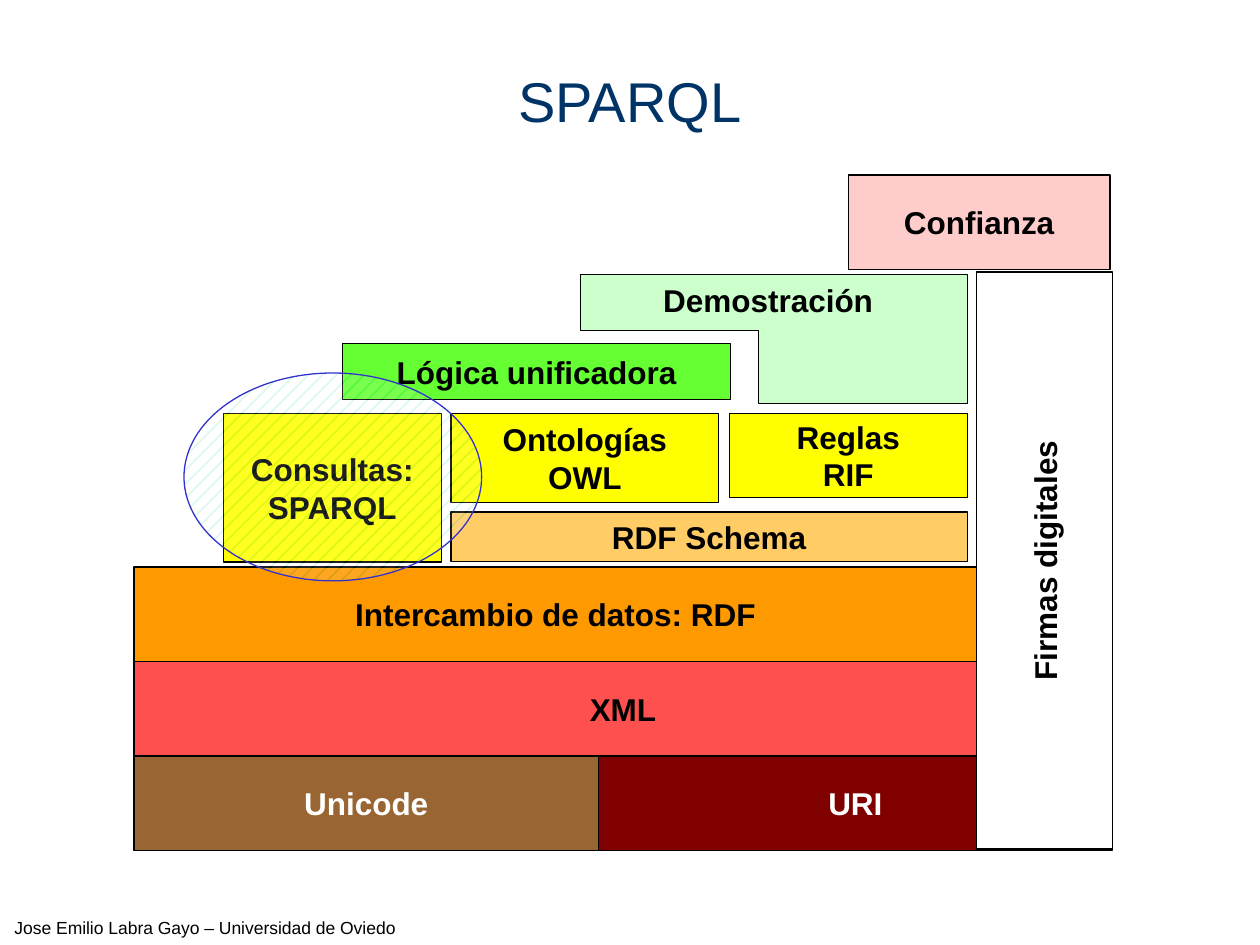
from lxml import etree
from pptx import Presentation
from pptx.dml.color import RGBColor
from pptx.enum.dml import MSO_PATTERN
from pptx.enum.shapes import MSO_SHAPE
from pptx.enum.text import MSO_ANCHOR, PP_ALIGN
from pptx.oxml.ns import qn
from pptx.util import Cm, Pt

RECTANGLE, OVAL = MSO_SHAPE.RECTANGLE, MSO_SHAPE.OVAL
MIDDLE, TOP = MSO_ANCHOR.MIDDLE, MSO_ANCHOR.TOP
CENTER = PP_ALIGN.CENTER
DOTS = MSO_PATTERN.PERCENT_10

COLORS = {
    "black": "000000", "white": "FFFFFF", "title": "003366",
    "maroon": "800000", "brown": "996633", "red": "FF5050",
    "orange": "FF9900", "yellow": "FFFF00", "green": "66FF33",
    "pink": "FFCCCC", "peach": "FFCC66", "mint": "CCFFCC",
    "teal": "00CC99", "blue": "3333CC",
}

# Grid of the layer stack, in cm
LEFT, SPLIT, RIGHT = 2.7, 12.07, 22.42
ROW = 1.905
BOTTOM = 17.145
URI_TOP, XML_TOP, RDF_TOP = (BOTTOM - ROW * n for n in (1, 2, 3))
UPPER_TOP = 8.33      # top of queries, ontologies and rules
SCHEMA_LEFT, INNER_RIGHT = 9.09, 19.5

# Lines of text, left, top, width, height, fill, text colour, rotation
LAYERS = [
    (["URI"], SPLIT, URI_TOP, RIGHT - SPLIT, ROW, "maroon", "white", 0),
    (["Unicode"], LEFT, URI_TOP, SPLIT - LEFT, ROW, "brown", "white", 0),
    (["XML"], LEFT, XML_TOP, RIGHT - LEFT, ROW, "red", "black", 0),
    (["Intercambio de datos: RDF"], LEFT, RDF_TOP, 17, ROW, "orange", "black", 0),
    (["Consultas:", "SPARQL"], 4.5, UPPER_TOP, 4.4, 3, "yellow", "black", 0),
    (["Lógica unificadora"], 6.91, 6.93, 7.82, 1.12, "green", "black", 0),
    (["Confianza"], 17.1, 3.53, 5.28, ROW, "pink", "black", 0),
    (["Firmas digitales"], 15.24, 9.93, 11.63, 2.74, "white", "black", 270),
    (["RDF Schema"], SCHEMA_LEFT, 10.32, INNER_RIGHT - SCHEMA_LEFT, 1,
     "peach", "black", 0),
    (["Ontologías", "OWL"], SCHEMA_LEFT, UPPER_TOP, 5.4, 1.8, "yellow", "black", 0),
    (["Reglas", "RIF"], 14.7, UPPER_TOP, INNER_RIGHT - 14.7, 1.7,
     "yellow", "black", 0),
]
PROOF_OUTLINE = [(11.7, 5.54), (INNER_RIGHT, 5.54), (INNER_RIGHT, 8.13),
                 (15.29, 8.13), (15.29, 6.66), (11.7, 6.66)]
HIGHLIGHT = (3.71, 7.52, 6, 4.19)
HIGHLIGHT_ALPHA = 13000   # thousandths of a percent

# Text, place, size, colour, bold, anchor, wrap
TITLE = ("SPARQL", (0, 0.43, 25.4, 3.18), 32, "title", False, MIDDLE, True)
FOOTER = ("Jose Emilio Labra Gayo – Universidad de Oviedo",
          (0, 18.36, 8.26, 0.69), 10, "black", False, TOP, False)
PROOF = ("Demostración", (13.11, 5.54, 4.75, 1.02), 18, "black", True, TOP, False)


def rgb(name):
    return RGBColor.from_string(COLORS[name])


def write(frame, lines, size, color, bold, anchor, wrap):
    frame.word_wrap = wrap
    frame.vertical_anchor = anchor
    for number, line in enumerate(lines):
        para = frame.add_paragraph() if number else frame.paragraphs[0]
        para.alignment = CENTER
        span = para.add_run()
        span.text = line
        span.font.name = "Arial"
        span.font.size = Pt(size)
        span.font.bold = bold
        span.font.color.rgb = rgb(color)


def add_label(page, text, place, *style):
    box = page.shapes.add_textbox(*map(Cm, place))
    write(box.text_frame, [text], *style)


def outline(shape, color):
    shape.shadow.inherit = False
    shape.line.color.rgb = rgb(color)
    shape.line.width = Pt(0.75)


def paint(shape, color):
    shape.fill.solid()
    shape.fill.fore_color.rgb = rgb(color)
    outline(shape, "black")


def add_layer(page, lines, left, top, width, height, fill, color, rotation):
    box = page.shapes.add_shape(RECTANGLE, *map(Cm, (left, top, width, height)))
    box.rotation = rotation
    paint(box, fill)
    frame = box.text_frame
    frame.margin_left = frame.margin_right = Cm(0.15)
    frame.margin_top = frame.margin_bottom = Cm(0.13)
    write(frame, lines, 18, color, True, MIDDLE, False)


def add_proof(page):
    points = [(Cm(x), Cm(y)) for x, y in PROOF_OUTLINE]
    builder = page.shapes.build_freeform(*points[0])
    builder.add_line_segments(points[1:], close=True)
    paint(builder.convert_to_shape(), "mint")
    add_label(page, *PROOF)


def add_highlight(page):
    ellipse = page.shapes.add_shape(OVAL, *map(Cm, HIGHLIGHT))
    outline(ellipse, "blue")
    ellipse.fill.patterned()
    ellipse.fill.pattern = DOTS
    ellipse.fill.fore_color.rgb = rgb("teal")
    ellipse.fill.back_color.rgb = rgb("white")
    # Let the layers show through both pattern colours
    pattern = ellipse.element.spPr.find(qn("a:pattFill"))
    for color in pattern.iter(qn("a:srgbClr")):
        etree.SubElement(color, qn("a:alpha")).set("val", str(HIGHLIGHT_ALPHA))


def main():
    deck = Presentation()
    deck.slide_width, deck.slide_height = Cm(25.4), Cm(19.05)
    page = deck.slides.add_slide(deck.slide_layouts[6])
    add_label(page, *FOOTER)
    add_label(page, *TITLE)
    for layer in LAYERS:
        add_layer(page, *layer)
    add_proof(page)
    add_highlight(page)
    deck.save("out.pptx")


if __name__ == "__main__":
    main()
